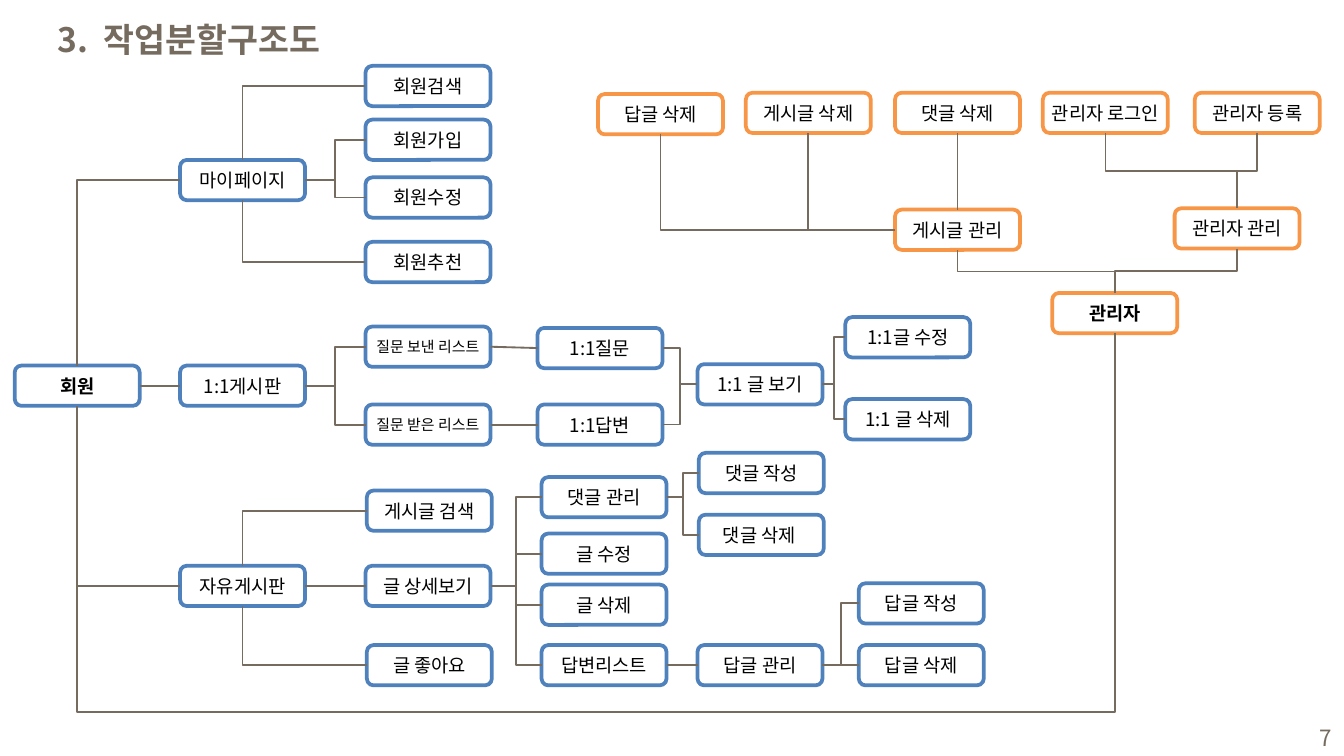
from lxml.etree import SubElement
from pptx import Presentation
from pptx.dml.color import RGBColor
from pptx.enum.shapes import MSO_CONNECTOR, MSO_SHAPE
from pptx.enum.text import MSO_ANCHOR, MSO_AUTO_SIZE, PP_ALIGN
from pptx.oxml.ns import qn
from pptx.util import Pt

PX = 9144  # 100 px to the inch
BOX_WIDTH, BOX_HEIGHT = 93, 30
FONT = "Noto Sans CJK KR"
BROWN = RGBColor(0x75, 0x6B, 0x5F)
BLUE = RGBColor(0x4F, 0x81, 0xBD)
ORANGE = RGBColor(0xF7, 0x96, 0x46)
BLACK = RGBColor(0, 0, 0)
WHITE = RGBColor(0xFF, 0xFF, 0xFF)

MEMBER_BOXES = {
    "회원": (11, 272),
    "마이페이지": (134, 119),
    "1:1게시판": (134, 272),
    "자유게시판": (134, 421),
    "회원검색": (272, 49),
    "회원가입": (272, 89),
    "회원수정": (272, 132),
    "회원추천": (272, 180),
    "질문 보낸 리스트": (272, 243),
    "질문 받은 리스트": (272, 301),
    "게시글 검색": (273, 365),
    "글 상세보기": (272, 421),
    "글 좋아요": (273, 480),
    "1:1질문": (400, 244),
    "1:1답변": (400, 301),
    "댓글 관리": (403, 355),
    "글 수정": (403, 397),
    "글 삭제": (403, 435),
    "답변리스트": (403, 480),
    "1:1 글 보기": (519, 271),
    "댓글 작성": (520, 337),
    "댓글 삭제 ": (520, 383),
    "답글 관리": (519, 480),
    "1:1글 수정": (629, 236),
    "1:1 글 삭제": (629, 297),
    "답글 작성": (639, 434),
    "답글 삭제": (639, 480),
}
ADMIN_BOXES = {
    "관리자": (783, 218),
    "게시글 관리": (666, 156),
    "관리자 관리": (874, 155),
    "답글 삭제": (445, 70),
    "게시글 삭제": (555, 69),
    "댓글 삭제": (666, 69),
    "관리자 로그인": (776, 69),
    "관리자 등록": (889, 69),
}
# Right side of the first box to the left side of each other box
SIDE_LINKS = {
    "회원": ["1:1게시판"],
    "마이페이지": ["회원가입", "회원수정"],
    "1:1게시판": ["질문 보낸 리스트", "질문 받은 리스트"],
    "질문 보낸 리스트": ["1:1질문"],
    "질문 받은 리스트": ["1:1답변"],
    "1:1질문": ["1:1 글 보기"],
    "1:1답변": ["1:1 글 보기"],
    "1:1 글 보기": ["1:1글 수정", "1:1 글 삭제"],
    "자유게시판": ["글 상세보기"],
    "글 상세보기": ["댓글 관리", "글 수정", "글 삭제", "답변리스트"],
    "댓글 관리": ["댓글 작성", "댓글 삭제 "],
    "답변리스트": ["답글 관리"],
    "답글 관리": ["답글 작성", "답글 삭제"],
}
# Left side of the first box, round one corner, to the second box
CORNER_LINKS = [
    (MEMBER_BOXES, "마이페이지", "회원"),
    (MEMBER_BOXES, "자유게시판", "회원"),
    (MEMBER_BOXES, "회원검색", "마이페이지"),
    (MEMBER_BOXES, "회원추천", "마이페이지"),
    (MEMBER_BOXES, "게시글 검색", "자유게시판"),
    (MEMBER_BOXES, "글 좋아요", "자유게시판"),
    (ADMIN_BOXES, "게시글 관리", "답글 삭제"),
    (ADMIN_BOXES, "게시글 관리", "게시글 삭제"),
]
# Bottom of the first box to the top of the second
DOWN_LINKS = [
    ("댓글 삭제", "게시글 관리"),
    ("관리자 로그인", "관리자 관리"),
    ("관리자 등록", "관리자 관리"),
    ("게시글 관리", "관리자"),
    ("관리자 관리", "관리자"),
]

presentation = Presentation()
presentation.slide_width = 1000 * PX
presentation.slide_height = presentation.slide_width * 9 // 16
slide = presentation.slides.add_slide(presentation.slide_layouts[5])


def format_text(shape, size, color, alignment, anchor, bold=False):
    text_frame = shape.text_frame
    text_frame.word_wrap = True
    text_frame.auto_size = MSO_AUTO_SIZE.NONE
    text_frame.vertical_anchor = anchor
    paragraph = text_frame.paragraphs[0]
    paragraph.alignment = alignment
    font = paragraph.runs[0].font
    font.size, font.bold, font.name = Pt(size), bold, FONT
    font.color.rgb = color
    # Hangul takes the East Asian typeface
    SubElement(font._element, qn("a:ea"), typeface=FONT)


def add_link(start, end, preset="bentConnector3", downward=False, bend=None):
    """Join two points; a downward link is an elbow turned by 90 degrees."""
    (x1, y1), (x2, y2) = start, end
    straight = min(abs(x2 - x1), abs(y2 - y1)) <= 1
    turned = downward and not straight
    if turned:
        middle_x, middle_y = (x1 + x2) / 2, (y1 + y2) / 2
        half_width, half_height = (x2 - x1) / 2, (y2 - y1) / 2
        x1, x2 = middle_x - half_height, middle_x + half_height
        y1, y2 = middle_y + half_width, middle_y - half_width
    kind = MSO_CONNECTOR.STRAIGHT if straight else MSO_CONNECTOR.ELBOW
    connector = slide.shapes.add_connector(kind, *(int(value * PX) for value in (x1, y1, x2, y2)))
    connector.line.color.rgb = BROWN
    connector.line.width = Pt(1)
    properties = connector._element.spPr
    SubElement(properties, qn("a:effectLst"))
    geometry = properties.find(qn("a:prstGeom"))
    if not straight:
        geometry.set("prst", preset)
    if turned:
        properties.find(qn("a:xfrm")).set("rot", "5400000")
    if bend is not None:
        SubElement(geometry.find(qn("a:avLst")), qn("a:gd"), name="adj1", fmla=f"val {bend}")


title = slide.shapes.title
title.left, title.top, title.width, title.height = 33 * PX, 9 * PX, 924 * PX, 40 * PX
title.text_frame.text = "3.  작업분할구조도"
format_text(title, 18, BROWN, PP_ALIGN.LEFT, MSO_ANCHOR.TOP, bold=True)

page_number = slide.shapes.add_textbox(768 * PX, 534 * PX, 233 * PX, 30 * PX)
page_number.text_frame.text = "7"
format_text(page_number, 12, BROWN, PP_ALIGN.RIGHT, MSO_ANCHOR.MIDDLE)

for boxes, outline in ((MEMBER_BOXES, BLUE), (ADMIN_BOXES, ORANGE)):
    for label, (left, top) in boxes.items():
        box = slide.shapes.add_shape(MSO_SHAPE.ROUNDED_RECTANGLE, left * PX, top * PX,
                                     BOX_WIDTH * PX, BOX_HEIGHT * PX)
        box.shadow.inherit = False
        box.fill.solid()
        box.fill.fore_color.rgb = WHITE
        box.line.color.rgb = outline
        box.line.width = Pt(2)
        text_frame = box.text_frame
        text_frame.margin_left = text_frame.margin_right = 0
        text_frame.margin_top = text_frame.margin_bottom = 0
        text_frame.text = label
        size = 8 if label.startswith("질문") else 10
        format_text(box, size, BLACK, PP_ALIGN.CENTER, MSO_ANCHOR.MIDDLE,
                    bold=label in ("회원", "관리자"))

half_box_width, half_box_height = BOX_WIDTH / 2, BOX_HEIGHT / 2

for parent, children in SIDE_LINKS.items():
    left, top = MEMBER_BOXES[parent]
    for child in children:
        child_left, child_top = MEMBER_BOXES[child]
        add_link((left + BOX_WIDTH, top + half_box_height),
                 (child_left, child_top + half_box_height))

for boxes, side_box, end_box in CORNER_LINKS:
    left, top = boxes[side_box]
    end_left, end_top = boxes[end_box]
    edge = end_top if top < end_top else end_top + BOX_HEIGHT
    add_link((left, top + half_box_height), (end_left + half_box_width, edge),
             preset="bentConnector2")

for upper, lower in DOWN_LINKS:
    left, top = ADMIN_BOXES[upper]
    lower_left, lower_top = ADMIN_BOXES[lower]
    add_link((left + half_box_width, top + BOX_HEIGHT),
             (lower_left + half_box_width, lower_top), downward=True)

# The two roots meet along the foot of the slide
admin_left, admin_top = ADMIN_BOXES["관리자"]
member_left, member_top = MEMBER_BOXES["회원"]
add_link((admin_left + half_box_width, admin_top + BOX_HEIGHT),
         (member_left + half_box_width, member_top + BOX_HEIGHT),
         downward=True, bend=521700)

presentation.save("out.pptx")
